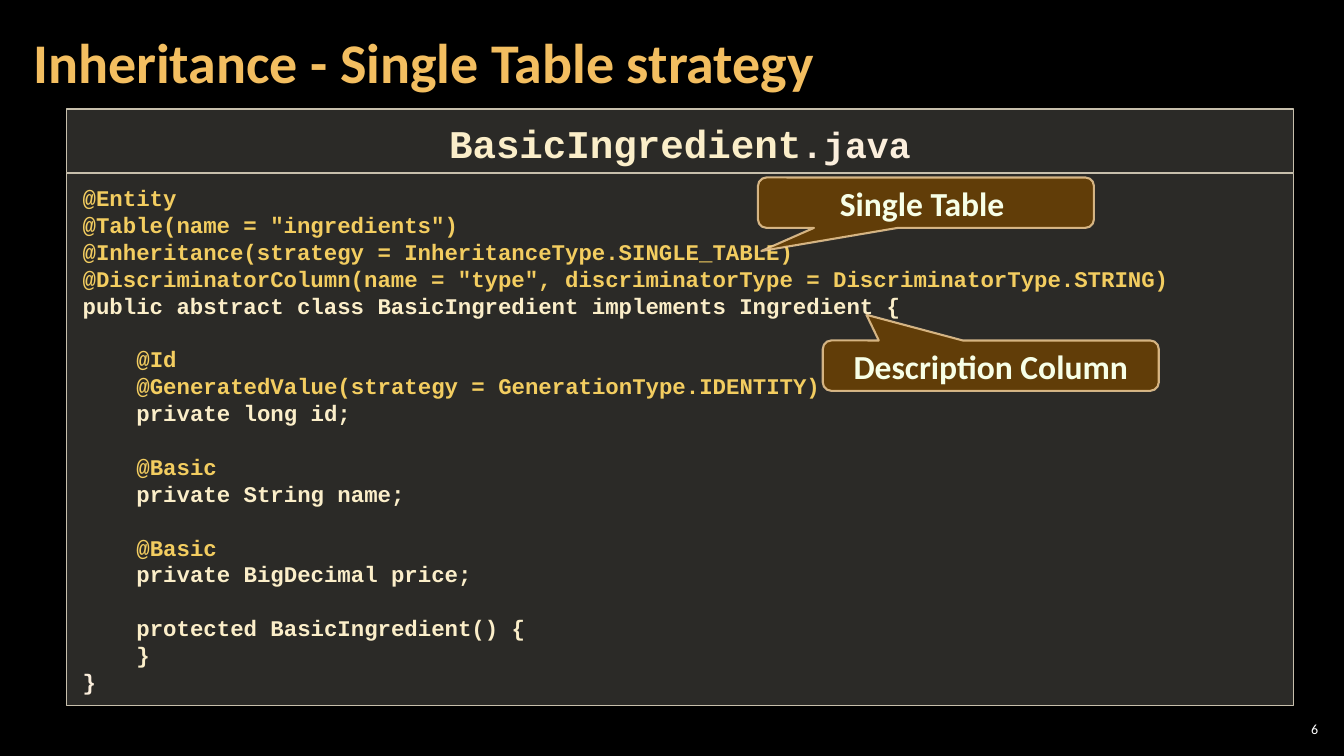
from pptx import Presentation
from pptx.util import Pt
from pptx.dml.color import RGBColor as RGB
from pptx.enum.shapes import MSO_SHAPE as Kind
from pptx.enum.text import PP_ALIGN as Align, MSO_ANCHOR as Anchor
from pptx.oxml.ns import qn
from lxml.etree import SubElement as Sub

HUE = {
    "back": "000000", "white": "FFFFFF", "title": "F3BE60",
    "panel": "D9D5C7", "edge": "C7BFAC", "note": "643F07",
    "rim": "F8D49E", "label": "F7FFE7", "mark": "F3CD60",
    "code": "FBEEC9", "pale": "FBEEDC",
}
SANS, MONO = "Calibri", "Courier New"
STEP = 19.2    # pitch of the code lines
TAB = 38.4     # four characters of code

# Each line: indent level, blank lines above, colour, text
CODE = [
    (0, 0, "mark", "@Entity"),
    (0, 0, "mark", '@Table(name = "ingredients")'),
    (0, 0, "mark", "@Inheritance(strategy = InheritanceType.SINGLE_TABLE)"),
    (0, 0, "mark", '@DiscriminatorColumn(name = "type", '
                   "discriminatorType = DiscriminatorType.STRING)"),
    (0, 0, "code", "public abstract class BasicIngredient implements Ingredient {"),
    (1, 1, "mark", "@Id"),
    (1, 0, "mark", "@GeneratedValue(strategy = GenerationType.IDENTITY)"),
    (1, 0, "code", "private long id;"),
    (1, 1, "mark", "@Basic"),
    (1, 0, "code", "private String name;"),
    (1, 1, "mark", "@Basic"),
    (1, 0, "code", "private BigDecimal price;"),
    (1, 1, "code", "protected BasicIngredient() {"),
    (1, 0, "code", "}"),
    (0, 0, "pale", "}"),
]


def tint(paint, hue, alpha=100):
    paint.solid()
    paint.fore_color.rgb = RGB.from_string(HUE[hue])
    if alpha < 100:
        tag = paint.fore_color._xFill.find(qn("a:srgbClr"))
        Sub(tag, qn("a:alpha"), val=str(alpha * 1000))


def write(para, text, size, hue, font=SANS, bold=True):
    run = para.add_run()
    run.text = text
    run.font.size, run.font.name, run.font.bold = Pt(size), font, bold
    run.font.color.rgb = RGB.from_string(HUE[hue])


def frame(shape, side, edge, align, anchor=Anchor.MIDDLE):
    body = shape.text_frame
    body.word_wrap = True
    body.vertical_anchor = anchor
    body.margin_left = body.margin_right = Pt(side)
    body.margin_top = body.margin_bottom = Pt(edge)
    body.paragraphs[0].alignment = align
    return body


def label(slide, box, text, size, hue, side, align, bold):
    shape = slide.shapes.add_textbox(*map(Pt, box))
    para = frame(shape, side, 3, align).paragraphs[0]
    para.line_spacing = 0.9
    write(para, text, size, hue, bold=bold)


def block(slide, kind, box, fill, line):
    shape = slide.shapes.add_shape(kind, *map(Pt, box))
    shape.shadow.inherit = False
    tint(shape.fill, *fill)
    hue, width, alpha = line
    tint(shape.line.fill, hue, alpha)
    shape.line.width = Pt(width)
    return shape


def panel(slide, box, head):
    x, y, wide, high = box
    fill, line = ("panel", 20), ("edge", 1, 100)
    # Code listing
    gap = 0.7
    area = (x, y + head + gap, wide, high - head - gap)
    shape = block(slide, Kind.RECTANGLE, area, fill, line)
    body = frame(shape, 11.5, 5.8, Align.LEFT)
    for i, (level, blank, hue, text) in enumerate(CODE):
        para = body.add_paragraph() if i else body.paragraphs[0]
        para.alignment = Align.LEFT
        para.line_spacing = Pt(STEP)
        para.space_before = Pt(blank * STEP)
        para._p.get_or_add_pPr().set("marL", str(Pt(level * TAB)))
        write(para, text, 16, hue, MONO)
    # File name
    shape = block(slide, Kind.RECTANGLE, (x, y, wide, head), fill, line)
    para = frame(shape, 11.5, 5.8, Align.CENTER).paragraphs[0]
    para.line_spacing = 1.06
    write(para, "BasicIngredient", 28, "code", MONO)
    write(para, ".java", 26, "pale", MONO)


def note(slide, box, tip, text):
    shape = block(slide, Kind.ROUNDED_RECTANGULAR_CALLOUT, box,
                  ("note", 95), ("rim", 1.5, 80))
    for i, part in enumerate((*tip, 0.17)):
        shape.adjustments[i] = part
    para = frame(shape, 7.2, 3.6, Align.CENTER).paragraphs[0]
    write(para, text, 24, "label")


def main():
    deck = Presentation()
    deck.slide_width, deck.slide_height = Pt(960), Pt(540)
    slide = deck.slides.add_slide(deck.slide_layouts[6])
    tint(slide.background.fill, "back")
    # Page number and title
    label(slide, (910.8, 514, 33.8, 15.1), "6", 10, "white", 3, Align.RIGHT, False)
    label(slide, (15.1, 2.9, 753.8, 87.1), "Inheritance - Single Table strategy",
          40, "title", 8.6, Align.LEFT, True)
    # Listing with its two notes
    panel(slide, (47.6, 78, 876.2, 426), 45.4)
    note(slide, (541.4, 126.8, 240, 36), (-0.49, 0.96), "Single Table ")
    note(slide, (587.7, 243.2, 240, 36), (-0.37, -1.01), "Description Column")
    deck.save("out.pptx")


if __name__ == "__main__":
    main()
